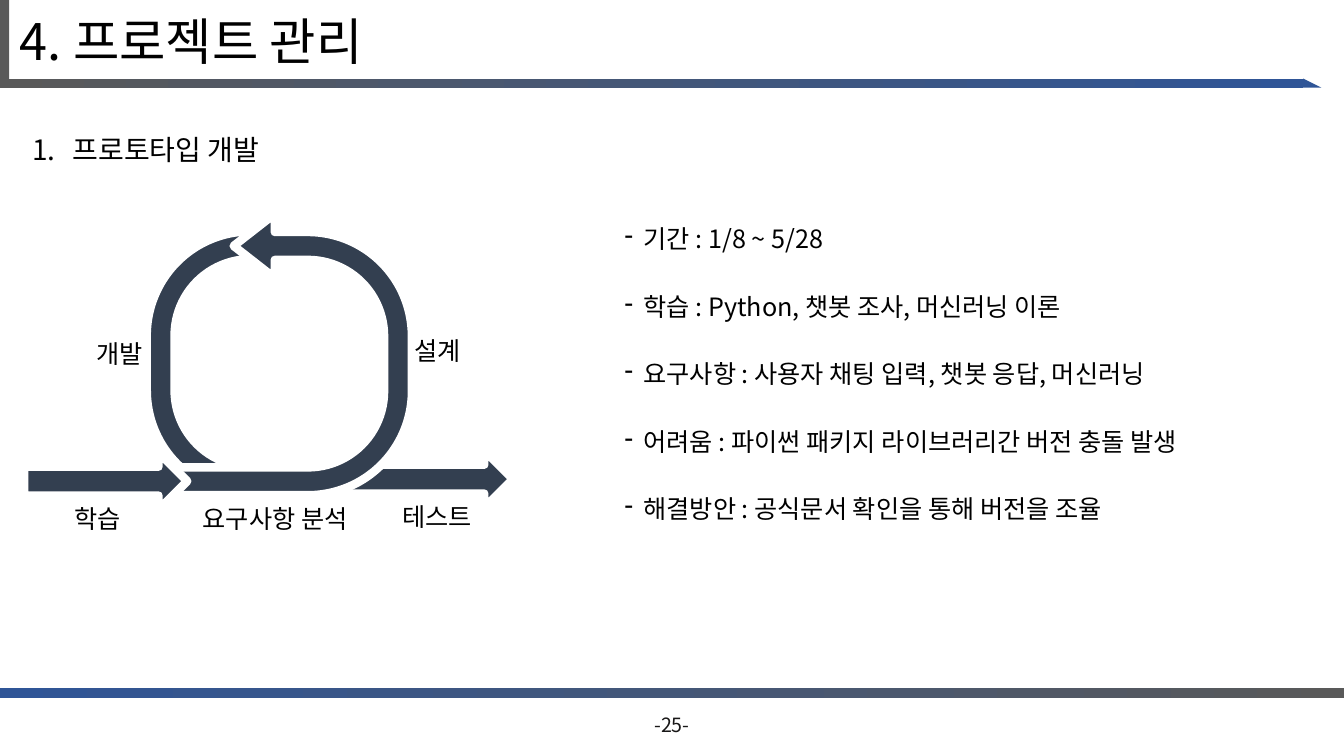
from lxml import etree
from pptx import Presentation
from pptx.dml.color import RGBColor
from pptx.enum.shapes import MSO_SHAPE
from pptx.enum.text import MSO_ANCHOR, PP_ALIGN
from pptx.oxml.ns import qn
from pptx.util import Cm, Pt

RECT = MSO_SHAPE.RECTANGLE
WEDGE = MSO_SHAPE.RIGHT_TRIANGLE
ARROW = MSO_SHAPE.RIGHT_ARROW
UTURN = MSO_SHAPE.U_TURN_ARROW
TOP, MIDDLE = MSO_ANCHOR.TOP, MSO_ANCHOR.MIDDLE
LEFT, CENTER = PP_ALIGN.LEFT, PP_ALIGN.CENTER

FONT = "Noto Sans CJK KR"
COLORS = {"gray": "595959", "blue": "2F5597", "navy": "333F50",
          "white": "FFFFFF", "black": "000000", "page": "181717"}
WIDE, HIGH = 33.87, 19.05
BAR = 0.23


def tint(name):
    return RGBColor.from_string(COLORS[name])


def add_part(shapes, kind, box, fill, edge=None):
    """Add a preset shape with a plain fill, or a gradient for a colour pair."""
    part = shapes.add_shape(kind, *map(Cm, box))
    part.shadow.inherit = False
    if isinstance(fill, tuple):
        part.fill.gradient()
        part.fill.gradient_angle = 0
        for stop, name in zip(part.fill.gradient_stops, fill):
            stop.color.rgb = tint(name)
    else:
        part.fill.solid()
        part.fill.fore_color.rgb = tint(fill)
    if edge:
        part.line.color.rgb = tint(edge)
        part.line.width = Pt(6)
    else:
        part.line.fill.background()
    return part


def add_text(shapes, box, lines, size, color="black", anchor=TOP, fill=None,
             bullet=None, indent=(0, 0), **form):
    """Add a text box; form holds paragraph settings."""
    area = shapes.add_textbox(*map(Cm, box))
    if fill:
        area.fill.solid()
        area.fill.fore_color.rgb = tint(fill)
    frame = area.text_frame
    frame.word_wrap = True
    frame.vertical_anchor = anchor
    gap = form.pop("space_before", None)
    for i, line in enumerate(lines):
        para = frame.paragraphs[0] if i == 0 else frame.add_paragraph()
        if bullet:
            tag, key, mark = bullet
            props = para._p.get_or_add_pPr()
            props.set("marL", str(Cm(indent[0])))
            props.set("indent", str(Cm(indent[1])))
            etree.SubElement(props, qn(tag)).set(key, mark)
        for key, value in form.items():
            setattr(para, key, value)
        if i and gap:
            para.space_before = gap
        run = para.add_run()
        run.text = line
        for key, value in {"size": Pt(size), "name": FONT}.items():
            setattr(run.font, key, value)
        run.font.color.rgb = tint(color)
        east = etree.SubElement(run._r.get_or_add_rPr(), qn("a:ea"))
        east.set("typeface", FONT)


def add_head(shapes, x, y, wide):
    """Title with its corner rule."""
    tip = 0.46
    base = y + 1.98
    add_part(shapes, RECT, (x, base, wide - tip, BAR), ("gray", "blue"))
    add_part(shapes, RECT, (x, y, BAR, base + BAR - y), "gray")
    add_part(shapes, WEDGE, (x + wide - tip, base, tip, BAR), "blue")
    add_text(shapes, (x + 0.25, y + 0.1, 27.53, 2.03), ["4. 프로젝트 관리"], 36,
             anchor=MIDDLE, line_spacing=0.9)


def add_foot(shapes, x, y, wide):
    """Bottom rule and page number."""
    add_part(shapes, RECT, (x, y, wide, BAR), ("blue", "gray"))
    page = 7.62
    add_text(shapes, (x + (wide - page) / 2, y + 0.4, page, 1.02), ["-25-"], 14,
             color="page", anchor=MIDDLE, alignment=CENTER)


def add_cycle(shapes, x, y):
    """Prototype loop: two half turns, an arrow in and an arrow out."""
    group = shapes.add_group_shape().shapes

    def turn(dx, dy, angle):
        half = add_part(group, UTURN, (x + dx, y + dy, 7.09, 5.99), "navy", "white")
        for i, value in enumerate((0.117, 0.135, 0.173, 0.438, 0.75)):
            half.adjustments[i] = value
        half.rotation = angle
        half._element.spPr.find(qn("a:xfrm")).set("flipV", "1")

    def shaft(dx, dy, wide):
        add_part(group, ARROW, (x + dx, y + dy, wide, 1.45), "navy", "white")

    turn(2.54, 0.97, 90)
    # White patches open the loop
    for dx, dy in ((6.07, 5.61), (6.63, 0)):
        add_part(group, RECT, (x + dx, y + dy, 2.46, 1.65), "white")
    shaft(7.19, 5.94, 5.13)
    turn(3.23, 0.53, 270)
    shaft(0, 5.99, 4.11)

    # Stage labels
    for name, dx, dy, wide, fill in (
            ("개발", 0.99, 3, 2.84, None),
            ("학습", 0.43, 7.16, 2.84, "white"),
            ("요구사항 분석", 4.19, 7.14, 4.27, "white"),
            ("테스트", 8.99, 7.09, 2.84, None),
            ("설계", 8.99, 2.92, 2.84, None)):
        add_text(group, (x + dx, y + dy, wide, 1.02), [name], 18,
                 fill=fill, alignment=CENTER)


def add_notes(shapes, box):
    """Dashed list of project facts."""
    facts = ["기간 : 1/8 ~ 5/28",
             "학습 : Python, 챗봇 조사, 머신러닝 이론",
             "요구사항 : 사용자 채팅 입력, 챗봇 응답, 머신러닝",
             "어려움 : 파이썬 패키지 라이브러리간 버전 충돌 발생",
             "해결방안 : 공식문서 확인을 통해 버전을 조율"]
    add_text(shapes, box, facts, 18, bullet=("a:buChar", "char", "-"),
             indent=(1.75, -0.48), alignment=LEFT, line_spacing=2.0,
             space_before=Pt(5))


def main():
    deck = Presentation()
    deck.slide_width, deck.slide_height = Cm(WIDE), Cm(HIGH)
    shapes = deck.slides.add_slide(deck.slide_layouts[6]).shapes
    add_head(shapes, 0, 0, 33.3)
    add_foot(shapes, 0, 17.35, WIDE)
    add_text(shapes, (0.56, 3.3, 13.36, 1.63), ["프로토타입 개발"], 20,
             bullet=("a:buAutoNum", "type", "arabicPeriod"),
             indent=(1.02, -1.02), line_spacing=0.9)
    add_cycle(shapes, 0.61, 5.41)
    add_notes(shapes, (14.22, 4.75, 18.57, 10.39))
    deck.save("out.pptx")


if __name__ == "__main__":
    main()
